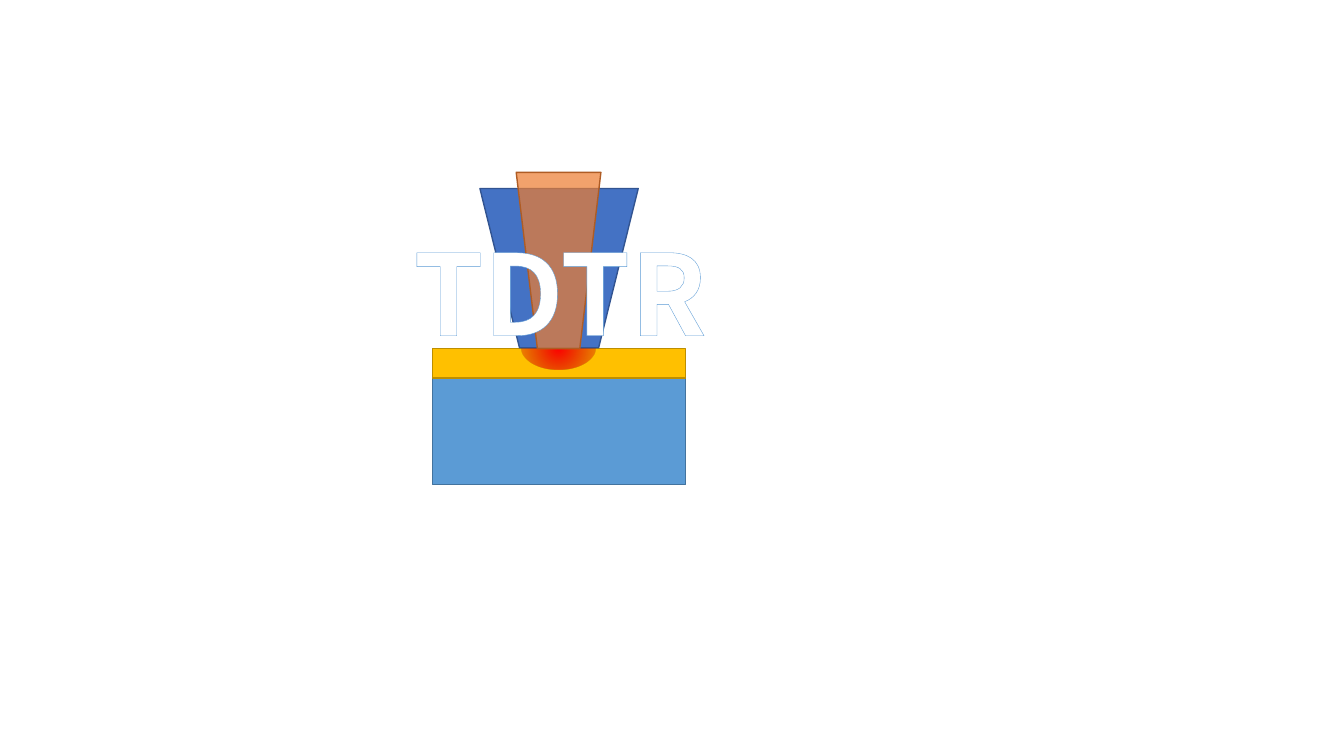
from lxml import etree
from pptx import Presentation
from pptx.dml.color import RGBColor as RGB
from pptx.enum.shapes import MSO_SHAPE as SHAPE
from pptx.enum.text import MSO_AUTO_SIZE as FIT, PP_ALIGN as ALIGN
from pptx.oxml import parse_xml
from pptx.oxml.ns import qn
from pptx.util import Inches, Pt

HEX = {
    "base": "5B9BD5", "base_edge": "43739E",
    "film": "FFC000", "film_edge": "BD8E00",
    "pump": "4472C4", "pump_edge": "325491",
    "probe": "ED7D31", "probe_edge": "AF5C24",
    "hot": "FF0000", "warm": "C00000", "text": "FFFFFF",
}
FONT = "Noto Sans CJK SC"
NS = 'xmlns:a="http://schemas.openxmlformats.org/drawingml/2006/main"'

deck = Presentation()
deck.slide_width, deck.slide_height = Inches(13.33), Inches(7.5)
slide = deck.slides.add_slide(deck.slide_layouts[6])
group = slide.shapes.add_group_shape()

# Sample layers, heated spot and laser beams, back to front
parts = [
    ("base", SHAPE.RECTANGLE, (4.29, 3.75, 2.51, 1.06), 0),
    ("film", SHAPE.RECTANGLE, (4.29, 3.46, 2.51, 0.29), 0),
    ("hot", SHAPE.OVAL, (5.17, 3.24, 0.74, 0.43), 0),
    ("pump", SHAPE.TRAPEZOID, (4.76, 1.87, 1.57, 1.58), 180),
    ("probe", SHAPE.TRAPEZOID, (5.12, 1.71, 0.84, 1.75), 180),
]
made = {}
for name, kind, box, turn in parts:
    shape = made[name] = group.shapes.add_shape(kind, *map(Inches, box))
    shape.shadow.inherit = False
    shape.rotation = turn
    shape.fill.solid()
    shape.fill.fore_color.rgb = RGB.from_string(HEX[name])
    if name == "hot":
        shape.line.fill.background()
    else:
        shape.line.color.rgb = RGB.from_string(HEX[name + "_edge"])
        shape.line.width = Pt(1)

# Probe beam lets the pump beam show through
tone = made["probe"].fill._xPr.find(qn("a:solidFill"))[0]
etree.SubElement(tone, qn("a:alpha"), val="71000")

# Heat fades from the centre of the spot
stops = [(0, "hot", 100), (100, "warm", 23), (100, "hot", 34)]
marks = "".join(
    f'<a:gs pos="{pos * 1000}"><a:srgbClr val="{HEX[key]}">'
    f'<a:alpha val="{alpha * 1000}"/></a:srgbClr></a:gs>'
    for pos, key, alpha in stops)
fade = parse_xml(
    f'<a:gradFill {NS} rotWithShape="1"><a:gsLst>{marks}</a:gsLst>'
    '<a:path path="circle"><a:fillToRect l="50000" t="50000" r="50000" b="50000"/>'
    '</a:path></a:gradFill>')
props = made["hot"].fill._xPr
props.replace(props.find(qn("a:solidFill")), fade)

# Outlined label
label = group.shapes.add_textbox(*map(Inches, (3.8, 2.17, 3.51, 1.45)))
frame = label.text_frame
frame.word_wrap = True
frame.auto_size = FIT.SHAPE_TO_FIT_TEXT
para = frame.paragraphs[0]
para.alignment = ALIGN.CENTER
run = para.add_run()
run.text = "TDTR"
for key, value in {"name": FONT, "size": Pt(80), "bold": True}.items():
    setattr(run.font, key, value)
run.font.color.rgb = RGB.from_string(HEX["text"])
style = run.font._element
style.insert(0, parse_xml(
    f'<a:ln {NS} w="{Pt(0.8)}"><a:solidFill><a:srgbClr val="{HEX["base"]}"/>'
    '</a:solidFill></a:ln>'))
style.find(qn("a:latin")).addnext(parse_xml(f'<a:ea {NS} typeface="{FONT}"/>'))

deck.save("out.pptx")
